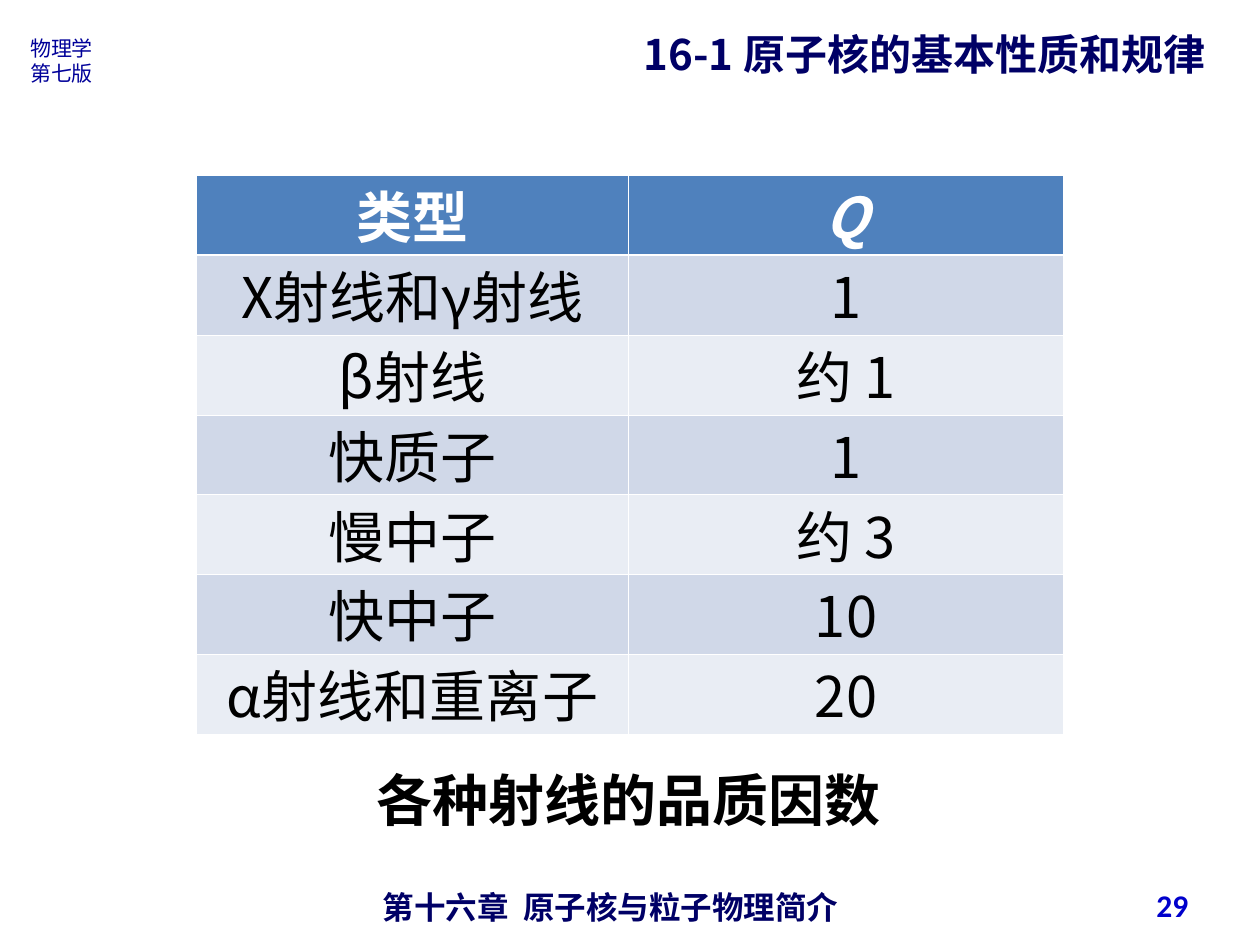
import pptx
import pptx.util
import pptx.dml.color
import pptx.enum.text
import pptx.oxml.ns
import lxml.etree

Inches = pptx.util.Inches
Pt = pptx.util.Pt
RGBColor = pptx.dml.color.RGBColor
Align = pptx.enum.text.PP_ALIGN
Anchor = pptx.enum.text.MSO_ANCHOR
qn = pptx.oxml.ns.qn

NAVY = RGBColor(0x00, 0x00, 0x66)
INDIGO = RGBColor(0x00, 0x00, 0x99)
BLUE = RGBColor(0x00, 0x00, 0xCC)
BLACK = RGBColor(0x00, 0x00, 0x00)
WHITE = RGBColor(0xFF, 0xFF, 0xFF)
HEAD = RGBColor(0x4F, 0x81, 0xBD)
BANDS = (RGBColor(0xE9, 0xED, 0xF4), RGBColor(0xD0, 0xD8, 0xE8))
SONG = "Noto Sans CJK SC"
WIDE, HIGH = 10, 7.5
ROWS = [
    ("类型", "Q"),
    ("X射线和γ射线", "1"),
    ("β射线", "约 1"),
    ("快质子", "1"),
    ("慢中子", "约 3"),
    ("快中子", "10"),
    ("α射线和重离子", "20"),
]


def add_run(para, text, size, color, bold=False, slant=False, face=SONG):
    run = para.add_run()
    run.text = text
    font = run.font
    font.size, font.bold, font.italic = Pt(size), bold, slant
    font.name = face
    font.color.rgb = color
    east = lxml.etree.SubElement(font._element, qn("a:ea"))
    east.set("typeface", face)


def add_text(slide, box, lines, size, color, bold=True, align=Align.LEFT,
             wrap=True, anchor=Anchor.TOP, face=SONG):
    frame = slide.shapes.add_textbox(*map(Inches, box)).text_frame
    frame.word_wrap = wrap
    frame.vertical_anchor = anchor
    for num, line in enumerate(lines):
        para = frame.add_paragraph() if num else frame.paragraphs[0]
        para.alignment = align
        add_run(para, line, size, color, bold, face=face)


def add_edge(cell, side, width):
    props = cell._tc.get_or_add_tcPr()
    edge = lxml.etree.SubElement(props, qn("a:" + side), w=str(Pt(width)))
    fill = lxml.etree.SubElement(edge, qn("a:solidFill"))
    lxml.etree.SubElement(fill, qn("a:srgbClr"), val=str(WHITE))


def fill_cell(cell, text, row, col):
    top = row == 0
    cell.margin_top = cell.margin_bottom = 0
    cell.vertical_anchor = Anchor.MIDDLE
    for side in ("lnL", "lnR", "lnT", "lnB"):
        thick = (row, side) in ((0, "lnB"), (1, "lnT"))
        add_edge(cell, side, 1.5 if thick else 0.45)
    cell.fill.solid()
    cell.fill.fore_color.rgb = HEAD if top else BANDS[row % 2]
    para = cell.text_frame.paragraphs[0]
    para.alignment = Align.CENTER
    para.line_spacing = Pt(45)
    add_run(para, text, 32, WHITE if top else BLACK, top, top and col == 1)


def add_grid(slide, left, top, widths, height):
    size = map(Inches, (left, top, sum(widths), height))
    table = slide.shapes.add_table(len(ROWS), len(widths), *size).table
    for col, width in enumerate(widths):
        table.columns[col].width = Inches(width)
    for row, texts in enumerate(ROWS):
        table.rows[row].height = Inches(height / len(ROWS))
        for col, text in enumerate(texts):
            fill_cell(table.cell(row, col), text, row, col)


def main():
    deck = pptx.Presentation()
    deck.slide_width, deck.slide_height = Inches(WIDE), Inches(HIGH)
    slide = deck.slides.add_slide(deck.slide_layouts[6])
    add_text(slide, (0.14, 0.23, 0.72, 0.5), ["物理学", "第七版"],
             12, INDIGO, bold=False)
    add_text(slide, (2.64, 7, 4.41, 0.29), ["第十六章  原子核与粒子物理简介"],
             18, NAVY, align=Align.CENTER)
    add_text(slide, (5.01, 0.18, 4.91, 0.5), ["16-1 原子核的基本性质和规律"],
             24, NAVY, wrap=False)
    add_text(slide, (2.89, 6.03, 4.4, 0.64), ["各种射线的品质因数"],
             32, BLACK)
    add_grid(slide, 1.56, 1.39, (3.43, 3.45), 4.44)
    add_text(slide, (7.2, 6.98, 2.33, 0.4), ["29"], 18, BLUE,
             align=Align.RIGHT, anchor=Anchor.MIDDLE, face="Calibri")
    deck.save("out.pptx")


if __name__ == "__main__":
    main()
